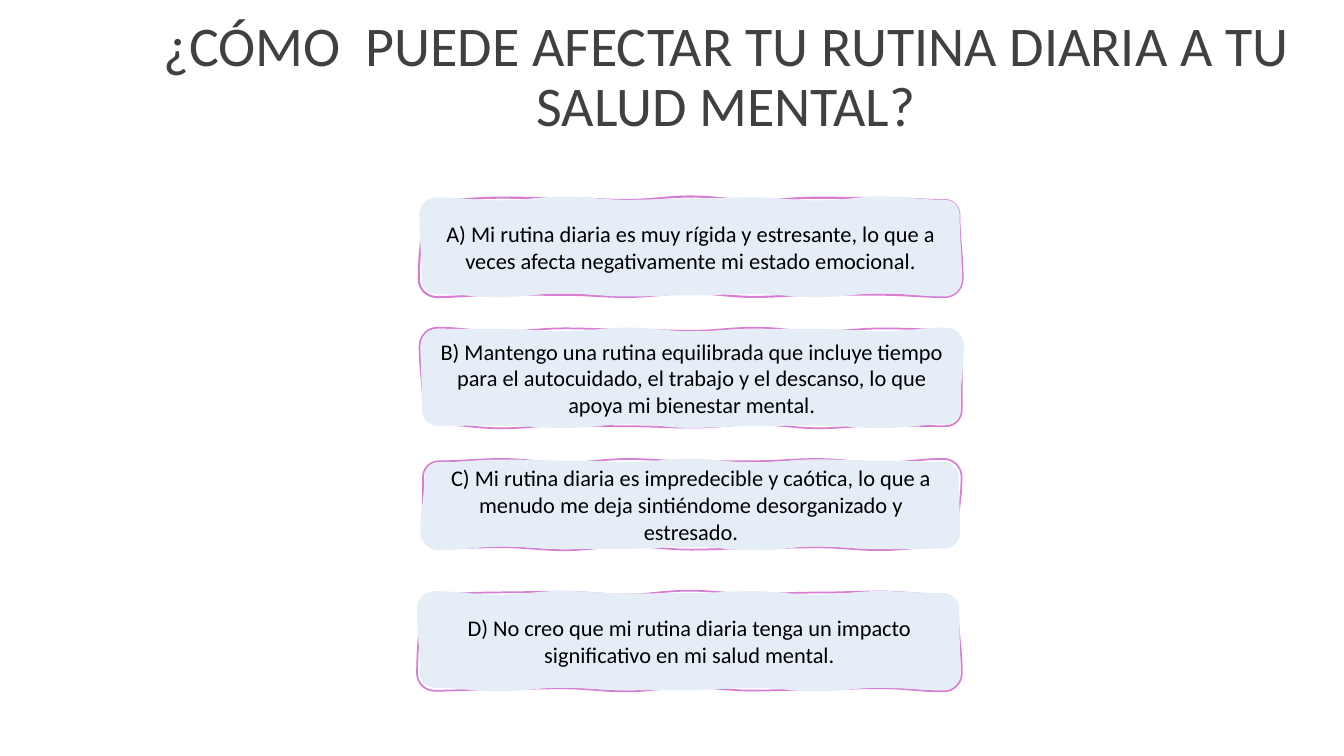
import math
from copy import deepcopy
from dataclasses import dataclass
from itertools import pairwise

from lxml import etree
from pptx import Presentation
from pptx import util as u
from pptx.dml.color import RGBColor
from pptx.enum import text
from pptx.oxml.ns import qn

COLORS = {"title": "404040", "answer": "000000", "card": "E5EEF7", "outline": "D67FD2"}
FONT = "Calibri"
CORNER_RADIUS = 0.16
WAVE_LENGTH = 0.65
HANDLE_SHARE = 0.39


@dataclass
class Answer:
    left: float
    top: float
    width: float
    height: float
    words: str
    line_width: float = 1.25


@dataclass
class WavePoint:
    x: int
    y: int
    heading: float


ANSWERS = [
    Answer(4.17, 1.97, 5.36, 0.96,
           "A) Mi rutina diaria es muy rígida y estresante, lo que a veces afecta "
           "negativamente mi estado emocional.", 1.5),
    Answer(4.18, 3.27, 5.36, 0.96,
           "B) Mantengo una rutina equilibrada que incluye tiempo para el autocuidado, "
           "el trabajo y el descanso, lo que apoya mi bienestar mental."),
    Answer(4.19, 4.57, 5.33, 0.87,
           "C) Mi rutina diaria es impredecible y caótica, lo que a menudo me deja "
           "sintiéndome desorganizado y estresado."),
    Answer(4.15, 5.88, 5.37, 0.96,
           "D) No creo que mi rutina diaria tenga un impacto significativo en mi salud mental."),
]


def write_text(shape, words: str, size: int, color: str, line_spacing: float = 1.0) -> None:
    frame = shape.text_frame
    frame.word_wrap = True
    frame.vertical_anchor = text.MSO_ANCHOR.MIDDLE
    frame.text = words
    paragraph = frame.paragraphs[0]
    paragraph.alignment = text.PP_ALIGN.CENTER
    paragraph.line_spacing = line_spacing
    font = paragraph.runs[0].font
    font.name = FONT
    font.size = u.Pt(size)
    font.color.rgb = RGBColor.from_string(COLORS[color])


def wave_point(x: float, y: float, angle: float, phase: float) -> WavePoint:
    reach = CORNER_RADIUS + 0.02 * math.sin(6 * x + 5 * y + 2 * phase)
    return WavePoint(u.Inches(x + reach * math.cos(angle)),
                     u.Inches(y + reach * math.sin(angle)), angle + math.pi / 2)


def wavy_contour(answer: Answer, phase: float) -> list[WavePoint]:
    near_left, near_top = answer.left + CORNER_RADIUS, answer.top + CORNER_RADIUS
    near_right = answer.left + answer.width - CORNER_RADIUS
    near_bottom = answer.top + answer.height - CORNER_RADIUS
    centers = [(near_left, near_top), (near_right, near_top),
               (near_right, near_bottom), (near_left, near_bottom)]
    points = []
    for corner, (x, y) in enumerate(centers):
        angle = math.pi * (1 + corner / 2)
        points.append(wave_point(x, y, angle, phase))
        next_x, next_y = centers[(corner + 1) % len(centers)]
        steps = math.ceil(math.dist((x, y), (next_x, next_y)) / WAVE_LENGTH)
        for step in range(steps):
            share = step / steps
            points.append(wave_point(x + (next_x - x) * share, y + (next_y - y) * share,
                                     angle + math.pi / 2, phase))
    return points + points[:1]


def bend_lines(outline, contour: list[WavePoint]) -> None:
    origin = outline[0][0]
    shift_x = int(origin.get("x")) - contour[0].x
    shift_y = int(origin.get("y")) - contour[0].y
    for segment, (start, end) in zip(list(outline)[1:-1], pairwise(contour)):
        handle = HANDLE_SHARE * math.dist((start.x, start.y), (end.x, end.y))
        curve = etree.Element(qn("a:cubicBezTo"))
        for point, length in ((start, handle), (end, -handle), (end, 0)):
            etree.SubElement(curve, qn("a:pt"), {
                "x": str(round(point.x + shift_x + length * math.cos(point.heading))),
                "y": str(round(point.y + shift_y + length * math.sin(point.heading))),
            })
        outline.replace(segment, curve)


def separate_outline_from_fill(shape, edge: list[WavePoint], inside: list[WavePoint]) -> None:
    outline = next(shape.element.iter(qn("a:path")))
    filling = deepcopy(outline)
    outline.addnext(filling)
    half = len(outline) // 2
    for segment in list(outline)[half:]:
        outline.remove(segment)
    for segment in list(filling)[:half]:
        filling.remove(segment)
    outline.set("fill", "none")
    filling.set("stroke", "0")
    bend_lines(outline, edge)
    bend_lines(filling, inside)


def add_answer(slide, answer: Answer, phase: float) -> None:
    edge = wavy_contour(answer, phase)
    inside = wavy_contour(answer, phase + 0.8)
    builder = slide.shapes.build_freeform(edge[0].x, edge[0].y)
    builder.add_line_segments([(point.x, point.y) for point in edge[1:]], close=True)
    builder.move_to(inside[0].x, inside[0].y)
    builder.add_line_segments([(point.x, point.y) for point in inside[1:]], close=True)
    shape = builder.convert_to_shape()
    separate_outline_from_fill(shape, edge, inside)
    shape.shadow.inherit = False
    shape.fill.solid()
    shape.fill.fore_color.rgb = RGBColor.from_string(COLORS["card"])
    shape.line.color.rgb = RGBColor.from_string(COLORS["outline"])
    shape.line.width = u.Pt(answer.line_width)
    write_text(shape, answer.words, 16, "answer")


def main() -> None:
    presentation = Presentation()
    presentation.slide_width = u.Inches(13.33)
    presentation.slide_height = u.Inches(7.5)
    slide = presentation.slides.add_slide(presentation.slide_layouts[6])
    title = slide.shapes.add_textbox(u.Inches(1.45), u.Inches(0.17), u.Inches(11.5), u.Inches(1.21))
    write_text(title, "¿CÓMO  PUEDE AFECTAR TU RUTINA DIARIA A TU SALUD MENTAL?", 40, "title", 0.9)
    for phase, answer in enumerate(ANSWERS):
        add_answer(slide, answer, phase)
    presentation.save("out.pptx")


if __name__ == "__main__":
    main()
